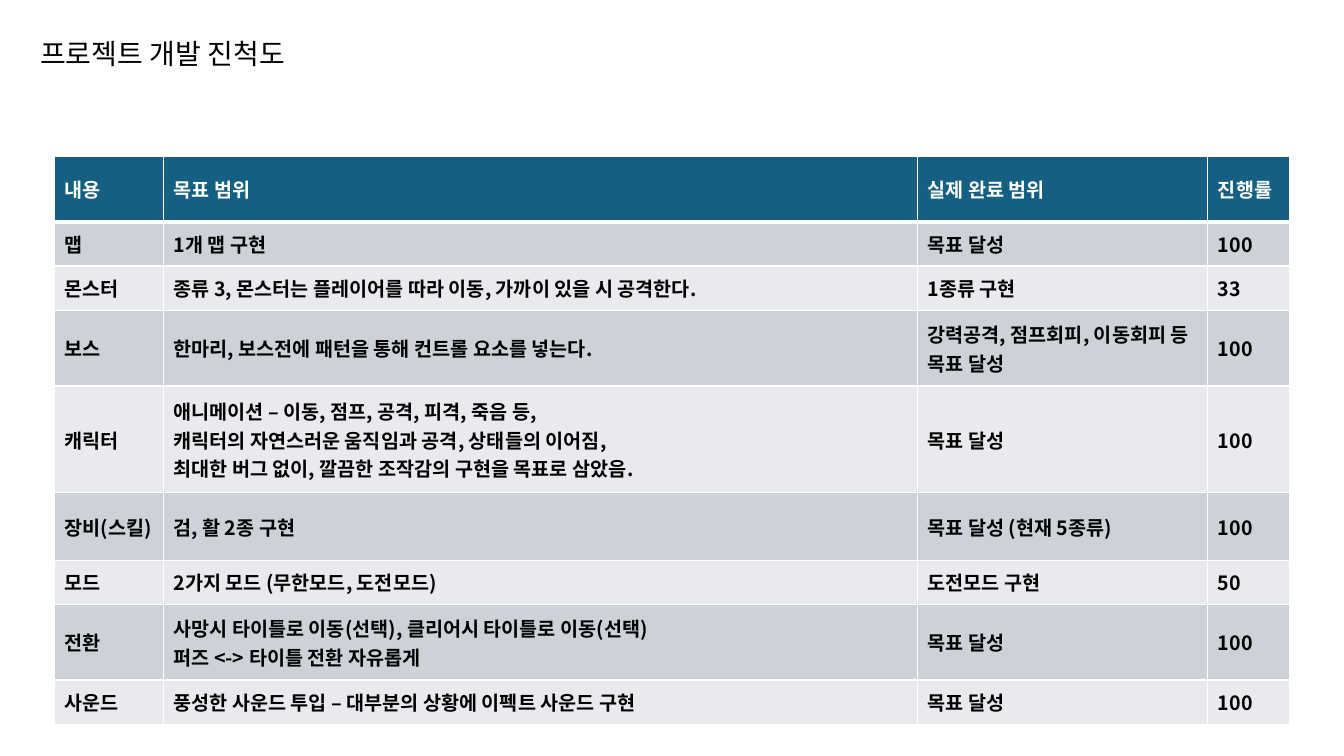
from lxml.etree import SubElement
from pptx import Presentation
from pptx.dml.color import RGBColor
from pptx.enum.text import MSO_ANCHOR, MSO_AUTO_SIZE
from pptx.oxml import parse_xml
from pptx.oxml.ns import nsdecls, qn
from pptx.util import Inches, Pt

FONT = "Noto Sans CJK KR"
COLORS = {"header": "156082", "odd": "CCD2D8", "even": "E8EAED",
          "white": "FFFFFF", "black": "000000"}
TITLE_FORMAT = {"name": FONT, "size": Pt(20)}
CELL_FORMAT = {"name": FONT, "size": Pt(14), "bold": True}

COL_WIDTHS = [1.08, 7.48, 2.88, 0.81]
ROW_HEIGHTS = [0.65, 0.44, 0.44, 0.75, 1.06, 0.44, 0.44, 0.75, 0.44]
PROGRESS = [
    ["내용", "목표 범위", "실제 완료 범위", "진행률"],
    ["맵", "1개 맵 구현", "목표 달성", "100"],
    ["몬스터", "종류 3, 몬스터는 플레이어를 따라 이동, 가까이 있을 시 공격한다.",
     "1종류 구현", "33"],
    ["보스", "한마리, 보스전에 패턴을 통해 컨트롤 요소를 넣는다.",
     "강력공격, 점프회피, 이동회피 등 목표 달성", "100"],
    ["캐릭터", "애니메이션 – 이동, 점프, 공격, 피격, 죽음 등,\n"
     "캐릭터의 자연스러운 움직임과 공격, 상태들의 이어짐,\n"
     "최대한 버그 없이, 깔끔한 조작감의 구현을 목표로 삼았음.",
     "목표 달성", "100"],
    ["장비(스킬)", "검, 활 2종 구현", "목표 달성 (현재 5종류)", "100"],
    ["모드", "2가지 모드 (무한모드, 도전모드)", "도전모드 구현", "50"],
    ["전환", "사망시 타이틀로 이동(선택), 클리어시 타이틀로 이동(선택)\n"
     "퍼즈 <-> 타이틀 전환 자유롭게", "목표 달성", "100"],
    ["사운드", "풍성한 사운드 투입 – 대부분의 상황에 이펙트 사운드 구현",
     "목표 달성", "100"],
]


def rgb(name):
    return RGBColor.from_string(COLORS[name])


def write_text(tf, text, color, fmt):
    """Write one paragraph per line of text."""
    tf.text = text
    for p in tf.paragraphs:
        for r in p.runs:
            for key, value in fmt.items():
                setattr(r.font, key, value)
            r.font.color.rgb = rgb(color)
            SubElement(r.font._element, qn("a:ea"), typeface=FONT)


def set_borders(cell, widths):
    """Draw white borders, widths in points by side, in schema order."""
    tcPr = cell._tc.get_or_add_tcPr()
    for i, (side, width) in enumerate(widths.items()):
        tcPr.insert(i, parse_xml(
            f'<a:ln{side} {nsdecls("a")} w="{Pt(width)}"><a:solidFill>'
            f'<a:srgbClr val="{COLORS["white"]}"/></a:solidFill></a:ln{side}>'))


def add_title(slide, left, top, width, height):
    box = slide.shapes.add_textbox(*map(Inches, (left, top, width, height)))
    tf = box.text_frame
    tf.word_wrap = True
    tf.auto_size = MSO_AUTO_SIZE.SHAPE_TO_FIT_TEXT
    write_text(tf, "프로젝트 개발 진척도", "black", TITLE_FORMAT)


def add_progress_table(slide, left, top):
    size = sum(COL_WIDTHS), sum(ROW_HEIGHTS)
    table = slide.shapes.add_table(
        len(ROW_HEIGHTS), len(COL_WIDTHS),
        *map(Inches, (left, top, *size))).table
    for col, width in zip(table.columns, COL_WIDTHS):
        col.width = Inches(width)
    for row, height in zip(table.rows, ROW_HEIGHTS):
        row.height = Inches(height)
    for i, texts in enumerate(PROGRESS):
        fill = "header" if i == 0 else "odd" if i % 2 else "even"
        borders = {"L": 1, "R": 1, "T": 3 if i == 1 else 1,
                   "B": 3 if i == 0 else 1}
        for j, text in enumerate(texts):
            cell = table.cell(i, j)
            cell.vertical_anchor = MSO_ANCHOR.MIDDLE
            cell.fill.solid()
            cell.fill.fore_color.rgb = rgb(fill)
            set_borders(cell, borders)
            write_text(cell.text_frame, text,
                       "white" if i == 0 else "black", CELL_FORMAT)


def main():
    prs = Presentation()
    prs.slide_width, prs.slide_height = Inches(13.33), Inches(7.5)
    slide = prs.slides.add_slide(prs.slide_layouts[6])
    add_progress_table(slide, 0.54, 1.55)
    add_title(slide, 0.3, 0.31, 7.27, 0.44)
    prs.save("out.pptx")


if __name__ == "__main__":
    main()
